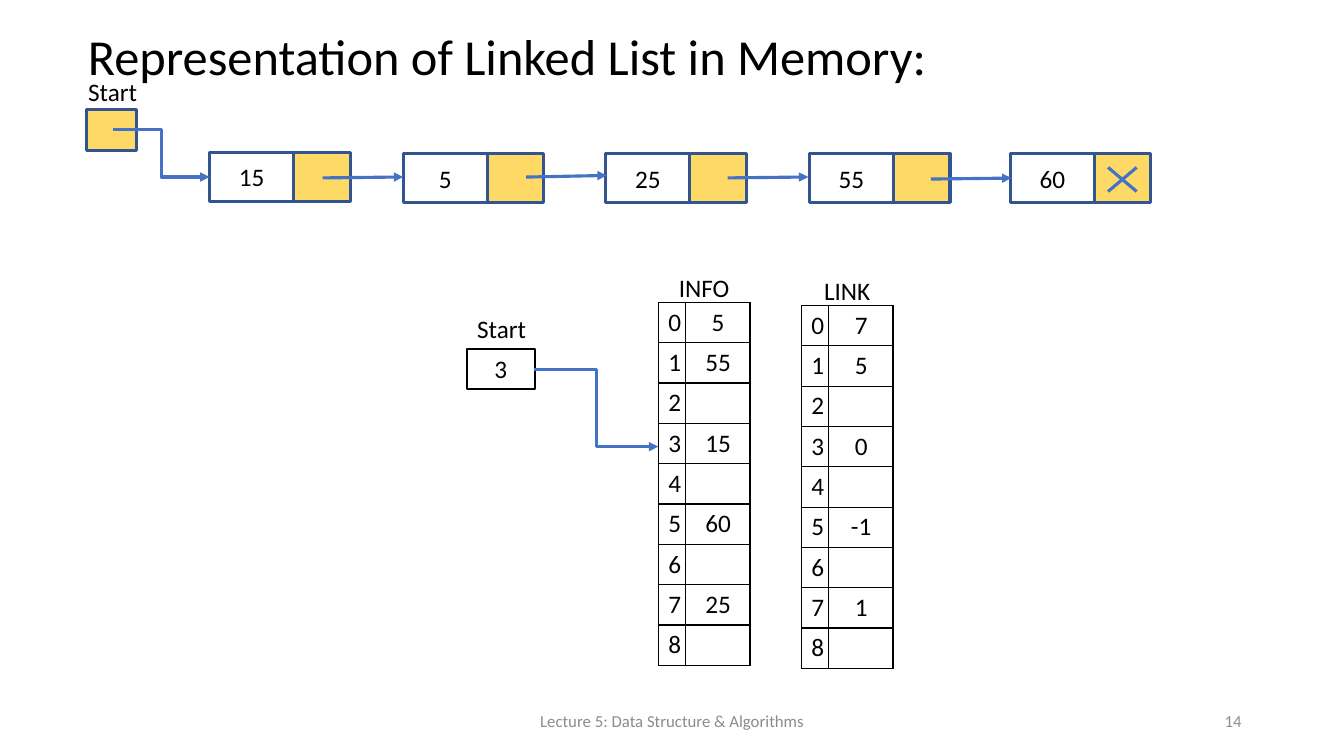
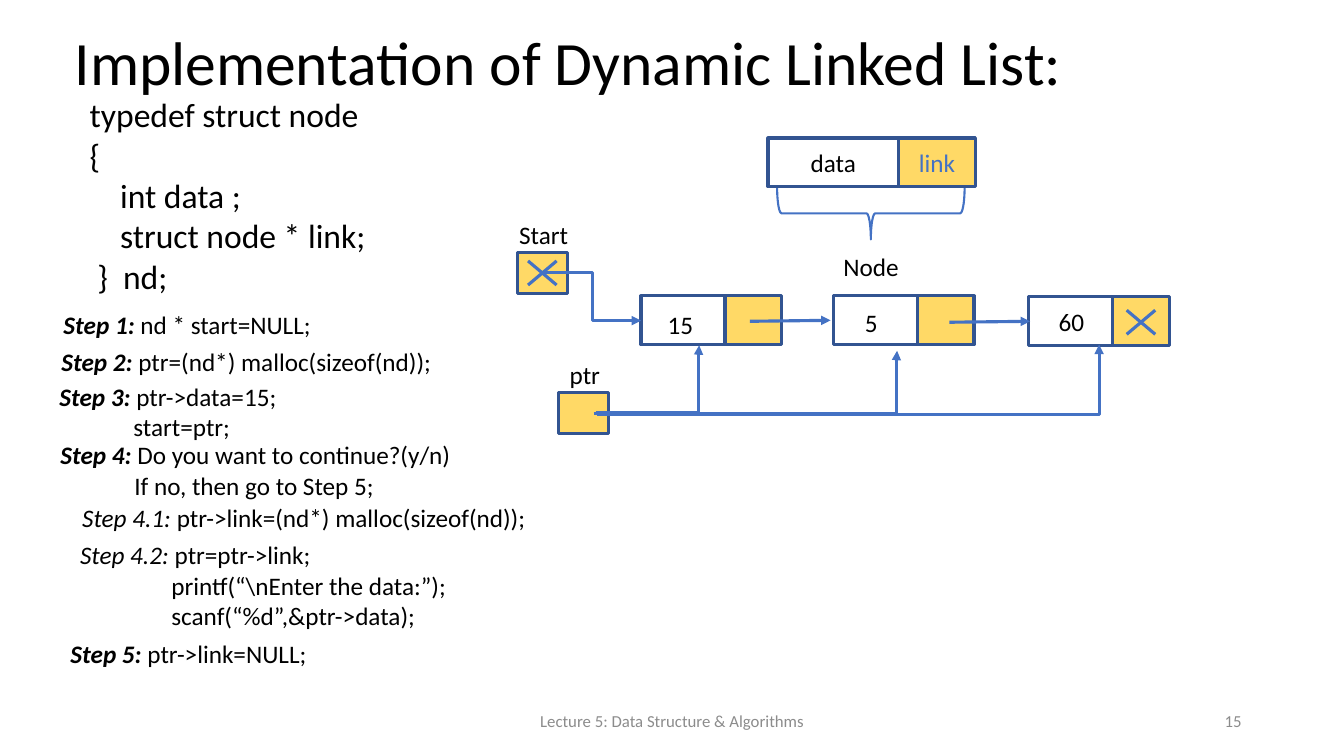
"""Build two slides on linked lists in memory and in code."""
from dataclasses import dataclass

from lxml import etree
from pptx import Presentation
from pptx import util as u
from pptx.dml.color import RGBColor
from pptx.enum import shapes, text
from pptx.oxml.ns import qn


@dataclass(frozen=True)
class Theme:
    """Colours, type sizes and line widths shared by both slides."""
    font: str = "Calibri"
    ink: str = "000000"
    muted: str = "8C8C8C"
    accent: str = "4472C4"
    outline: str = "325491"
    pointer: str = "FFD966"
    title: int = 36
    large_title: int = 44
    code: int = 24
    body: int = 18
    footer: int = 12
    stroke: float = 2.25
    thin: float = 1.5
    border: float = 1


THEME = Theme()
CENTER = text.PP_ALIGN.CENTER
LEFT = text.PP_ALIGN.LEFT
RIGHT = text.PP_ALIGN.RIGHT
TOP = text.MSO_ANCHOR.TOP
MIDDLE = text.MSO_ANCHOR.MIDDLE
NODE_HEIGHT = 34.8


def color(value):
    """Turn a hex string into a colour."""
    return RGBColor.from_string(value)


def write(frame, content, *, size=THEME.body, ink=THEME.ink, align=CENTER,
          lead="", bold=False, spacing=None, indent=0, hang=0):
    """Fill a text frame, with an italic lead and indents for later lines."""
    for index, line in enumerate(content.split("\n")):
        paragraph = frame.paragraphs[0] if index == 0 else frame.add_paragraph()
        paragraph.alignment = align
        if spacing:
            paragraph.line_spacing = spacing
        margin = hang if index else indent
        if margin:
            paragraph._p.get_or_add_pPr().set("marL", str(u.Pt(margin)))
        parts = [(line, False)]
        if lead and index == 0:
            parts.insert(0, (lead, True))
        for part, is_lead in parts:
            run = paragraph.add_run()
            run.text = part
            run.font.name = THEME.font
            run.font.size = u.Pt(size)
            run.font.color.rgb = color(ink)
            run.font.italic = is_lead
            run.font.bold = bold and is_lead


def add_label(slide, left, top, width, content, *, height=28.8, anchor=TOP, **style):
    """Add a wrapped text box."""
    box = slide.shapes.add_textbox(u.Pt(left), u.Pt(top), u.Pt(width), u.Pt(height))
    box.text_frame.word_wrap = True
    box.text_frame.vertical_anchor = anchor
    write(box.text_frame, content, **style)


def add_box(slide, left, top, width, height, *, content="", fill=None,
            outline=THEME.outline, weight=THEME.stroke,
            kind=shapes.MSO_SHAPE.RECTANGLE, **style):
    """Add an outlined shape with optional fill and text."""
    shape = slide.shapes.add_shape(kind, u.Pt(left), u.Pt(top), u.Pt(width), u.Pt(height))
    shape.shadow.inherit = False
    if fill:
        shape.fill.solid()
        shape.fill.fore_color.rgb = color(fill)
    else:
        shape.fill.background()
    shape.line.color.rgb = color(outline)
    shape.line.width = u.Pt(weight)
    if content:
        shape.text_frame.vertical_anchor = MIDDLE
        write(shape.text_frame, content, **style)
    return shape


def add_node(slide, left, top, data="", link="", data_width=60, link_width=40.4):
    """Add a list node made of a data cell and a link cell."""
    add_box(slide, left, top, data_width, NODE_HEIGHT, content=data)
    add_box(slide, left + data_width, top, link_width, NODE_HEIGHT,
            content=link, fill=THEME.pointer, ink=THEME.accent)


def add_pointer(slide, left, top, name):
    """Add a pointer cell with its name above."""
    add_label(slide, left - 15.6, top - 27.4, 69, name)
    add_box(slide, left, top, 36, 29.5, fill=THEME.pointer)


def add_line(slide, x1, y1, x2, y2, *, arrow=True, bend=None):
    """Add a straight line, or an elbow that turns at the given share of its width."""
    kind = shapes.MSO_CONNECTOR.STRAIGHT if bend is None else shapes.MSO_CONNECTOR.ELBOW
    line = slide.shapes.add_connector(kind, u.Pt(x1), u.Pt(y1), u.Pt(x2), u.Pt(y2))
    line.line.color.rgb = color(THEME.accent)
    line.line.width = u.Pt(THEME.stroke)
    properties = line._element.spPr
    if arrow:
        etree.SubElement(properties.find(qn("a:ln")), qn("a:tailEnd"), type="triangle")
    if bend is not None:
        geometry = properties.find(qn("a:prstGeom"))
        guides = geometry.find(qn("a:avLst"))
        if guides is None:
            guides = etree.SubElement(geometry, qn("a:avLst"))
        etree.SubElement(guides, qn("a:gd"), name="adj1", fmla=f"val {round(bend * 100000)}")
    etree.SubElement(properties, qn("a:effectLst"))


def add_cross(slide, x, y):
    """Mark a null link with a cross around a centre."""
    for rise in (-8.6, 8.6):
        add_line(slide, x - 10.2, y + rise, x + 10.2, y - rise, arrow=False)


def add_border(cell):
    """Draw a thin line on each side of a table cell."""
    properties = cell._tc.get_or_add_tcPr()
    for side in ("a:lnL", "a:lnR", "a:lnT", "a:lnB"):
        line = etree.SubElement(properties, qn(side), w=str(u.Pt(THEME.border)))
        fill = etree.SubElement(line, qn("a:solidFill"))
        etree.SubElement(fill, qn("a:srgbClr"), val=THEME.ink)


def add_column(slide, left, top, width, values, *, margin=0):
    """Add a bordered table of one column."""
    row_height = 28.8
    table = slide.shapes.add_table(
        len(values), 1, u.Pt(left), u.Pt(top),
        u.Pt(width), u.Pt(row_height * len(values))).table
    table.first_row = table.horz_banding = False
    for index, value in enumerate(values):
        table.rows[index].height = u.Pt(row_height)
        cell = table.cell(index, 0)
        cell.margin_top = cell.margin_bottom = u.Pt(3)
        cell.margin_left = u.Pt(margin)
        cell.margin_right = u.Pt(0)
        cell.vertical_anchor = MIDDLE
        add_border(cell)
        cell.fill.background()
        if value:
            write(cell.text_frame, value)


def add_memory(slide, left, top, heading, values):
    """Add a memory array with its index column and heading."""
    index_width, value_width = 19.4, 46.1
    add_column(slide, left + index_width, top, value_width, values, margin=0.6)
    add_column(slide, left, top, index_width,
               [str(index) for index in range(len(values))], margin=4)
    add_label(slide, left, top - 25.2, index_width + value_width, heading)


def add_slide(presentation, title, number, *, left, top, height, size):
    """Add a blank slide with title, footer and number."""
    slide = presentation.slides.add_slide(presentation.slide_layouts[6])
    add_label(slide, left, top, 828, title, height=height, anchor=MIDDLE,
              size=size, align=LEFT, spacing=0.9)
    footer = {"anchor": MIDDLE, "size": THEME.footer, "ink": THEME.muted}
    add_label(slide, 318.2, 500.4, 324, "Lecture 5: Data Structure & Algorithms", **footer)
    add_label(slide, 678, 500.4, 216, number, align=RIGHT, **footer)
    return slide


def build_memory_slide(presentation):
    """Show a linked list and its arrays in memory."""
    slide = add_slide(presentation, "Representation of Linked List in Memory:", "14",
                      left=55.7, top=20, height=44, size=THEME.title)
    add_pointer(slide, 61.6, 78.1, "Start")
    nodes = ((149.8, 109, "15"), (288, 109.8, "5"), (432.7, 109.8, "25"),
             (578.2, 109.8, "55"), (721.7, 109.8, "60"))
    for left, top, data in nodes:
        add_node(slide, left, top, data)
    for x, y, rise in ((230.4, 127.1, 0.7), (375.8, 126.5, 1.2),
                       (519.8, 127.1, 0.7), (664.9, 127.9, 0.7)):
        add_line(slide, x, y, x + 57.6, y - rise)
    add_cross(slide, 801.7, 128.2)
    add_line(slide, 80.8, 92.7, 149.8, 126.4, bend=0.5)

    add_memory(slide, 470.2, 216, "INFO", ("5", "55", "", "15", "", "60", "", "25", ""))
    add_memory(slide, 572.4, 218.2, "LINK", ("7", "5", "", "0", "", "-1", "", "1", ""))
    add_label(slide, 333.7, 220, 60, "Start", align=LEFT)
    add_box(slide, 333.7, 249.1, 48.2, 28.8, content="3",
            outline=THEME.ink, weight=THEME.thin)
    add_line(slide, 381.6, 263.7, 470.2, 319, bend=0.5)


def build_code_slide(presentation):
    """Show the node type, the build steps and the moving pointer."""
    slide = add_slide(presentation, "Implementation of Dynamic Linked List:", "15",
                      left=46.2, top=15.8, height=62, size=THEME.large_title)
    brace = add_box(slide, 603.4, 85.4, 37.4, 133.9, outline=THEME.accent,
                    weight=THEME.thin, kind=shapes.MSO_SHAPE.LEFT_BRACE)
    brace.rotation = 270
    add_label(slide, 583.2, 175.7, 77.8, "Node")
    add_node(slide, 548.6, 98.6, "data", "link", data_width=93.3, link_width=54.8)
    code = "typedef struct node\n{\n    int data ;\n    struct node * link;\n }  nd;"
    add_label(slide, 57, 63.7, 272, code, height=152.6, size=THEME.code, align=LEFT)

    add_pointer(slide, 369.4, 180.3, "Start")
    add_pointer(slide, 398.9, 280.4, "ptr")
    for left, top in ((457.9, 211.4), (595.4, 211.4), (734.7, 212.1)):
        add_node(slide, left, top)
    for center, top, data in ((486, 217.4, "15"), (622.4, 216, "5"), (765.3, 215.3, "60")):
        add_label(slide, center - 24, top, 48, data)
    add_line(slide, 535.7, 229.5, 593.3, 228.8)
    add_line(slide, 678.2, 230.2, 735.8, 229.5)
    add_cross(slide, 815, 230.2)
    add_cross(slide, 387.4, 195)
    add_line(slide, 388.8, 194.9, 457.9, 229, bend=0.5)
    for x1, y1, x2, y2, bend in ((425.5, 294.5, 499.4, 246.7, 0.995),
                                 (424.1, 295.2, 640.8, 250.6, 0.998),
                                 (426.2, 295.9, 785.1, 246.2, 1)):
        add_line(slide, x1, y1, x2, y2, bend=bend)

    steps = (
        (38.2, 217.4, "Step 1: ", "nd * start=NULL;", 0, 0),
        (36.7, 244.1, "Step 2: ", "ptr=(nd*) malloc(sizeof(nd));", 0, 0),
        (35.3, 268.9, "Step 3: ", "ptr->data=15;\nstart=ptr;", 0, 52.9),
        (36, 310.6, "Step 4: ",
         "Do you want to continue?(y/n)\nIf no, then go to Step 5;", 0, 52.9),
        (35.3, 355, "Step 4.1: ", "ptr->link=(nd*) malloc(sizeof(nd));", 16.3, 0),
        (46.1, 381.9, "Step 4.2: ",
         "ptr=ptr->link;\nprintf(“\\nEnter the data:”);\nscanf(“%d”,&ptr->data);", 4, 69.2),
        (43.2, 452.5, "Step 5: ", "ptr->link=NULL;", 0, 0),
    )
    for left, top, lead, content, indent, hang in steps:
        add_label(slide, left, top, 362, content, lead=lead, bold=not indent,
                  height=7.2 + 22 * (content.count("\n") + 1),
                  align=LEFT, indent=indent, hang=hang)


def main():
    """Build and save the presentation."""
    presentation = Presentation()
    presentation.slide_width = u.Pt(960)
    presentation.slide_height = u.Pt(540)
    build_memory_slide(presentation)
    build_code_slide(presentation)
    presentation.save("out.pptx")


if __name__ == "__main__":
    main()
